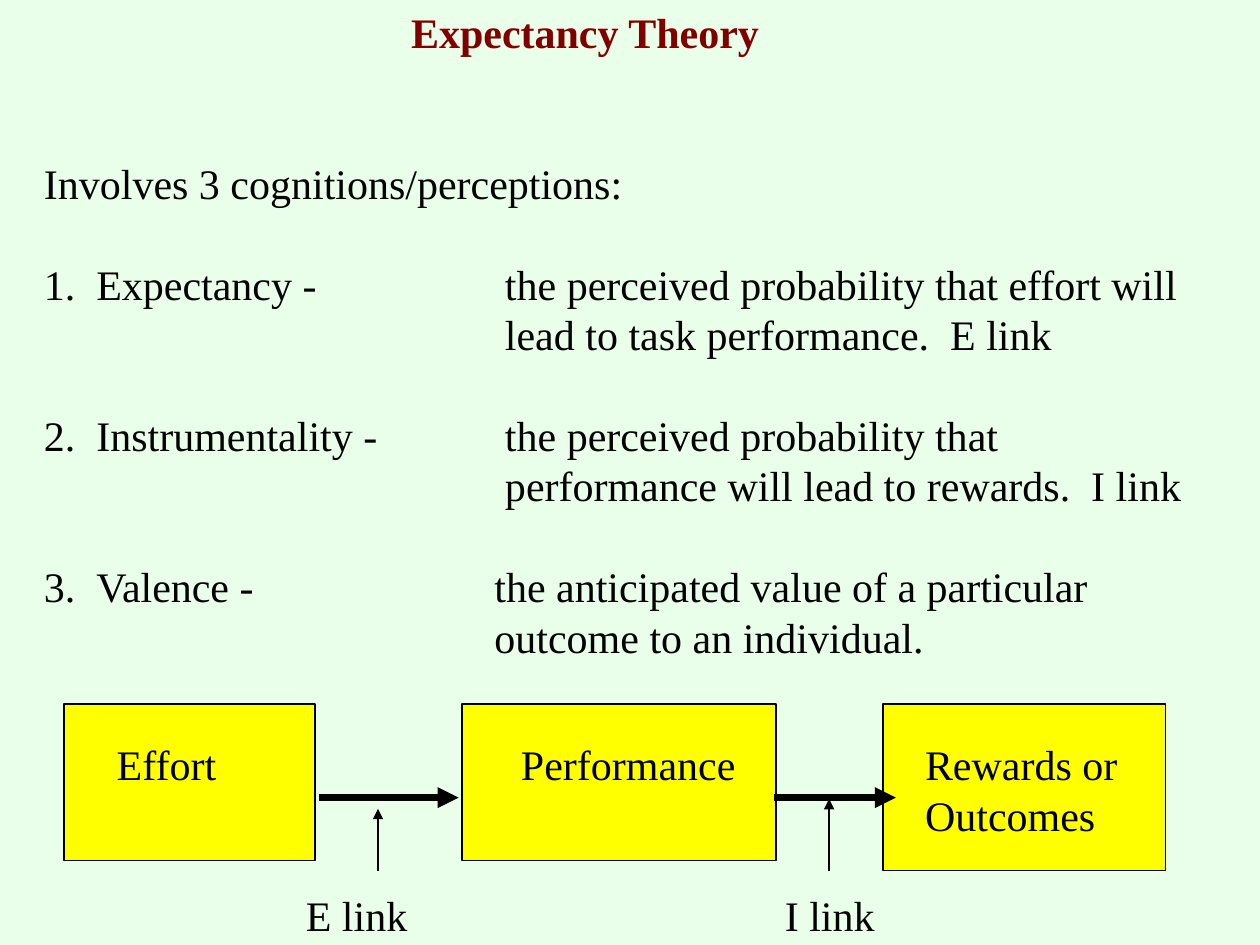
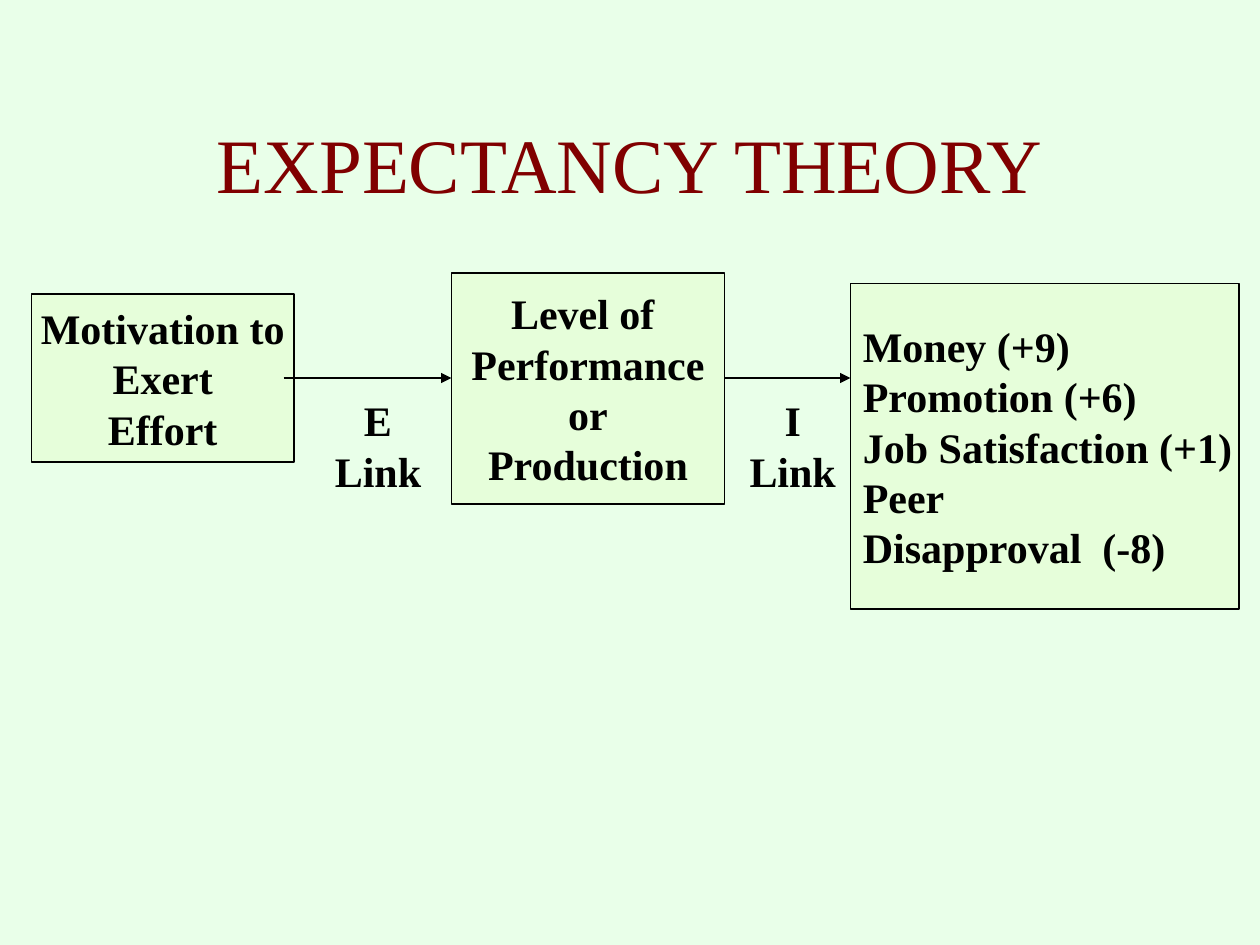
"""Build two slides that explain expectancy theory."""
from dataclasses import dataclass
from typing import Any

from lxml.etree import SubElement
from pptx import Presentation
from pptx.dml.color import RGBColor as Color
from pptx.enum.shapes import MSO_CONNECTOR as Connector, MSO_SHAPE as Preset
from pptx.enum.text import MSO_ANCHOR as Anchor, MSO_AUTO_SIZE as AutoSize, PP_ALIGN as Align
from pptx.oxml.ns import qn
from pptx.util import Pt


@dataclass(frozen=True)
class Theme:
    """Colours, type sizes and line rules of the deck."""
    font: str = "Times New Roman"
    background: Color = Color.from_string("E9FFE9")
    title: Color = Color.from_string("800000")
    ink: Color = Color.from_string("000000")
    yellow: Color = Color.from_string("FFFF00")
    pale: Color = Color.from_string("E6FEDA")
    body_size: float = 24
    large_size: float = 44
    leading: float = 1.2
    thin: float = 0.75
    medium: float = 1
    thick: float = 4
    inset_x: float = 7.2
    inset_y: float = 3.6


THEME = Theme()
BODY_LINE = THEME.body_size * THEME.leading


@dataclass(frozen=True)
class Area:
    """Position and size in points."""
    left: float
    top: float
    width: float
    height: float

    def lengths(self) -> tuple[Pt, Pt, Pt, Pt]:
        """Return the four lengths for a new shape."""
        return Pt(self.left), Pt(self.top), Pt(self.width), Pt(self.height)


@dataclass(frozen=True)
class TextStyle:
    """Look of a block of text."""
    size: float = THEME.body_size
    color: Color = THEME.ink
    bold: bool = False
    align: Align = Align.LEFT
    anchor: Anchor = Anchor.TOP
    wrap: bool = True
    inset_x: float = THEME.inset_x
    inset_y: float = THEME.inset_y


@dataclass(frozen=True)
class Box:
    """Filled rectangle with its lines of text."""
    area: Area
    lines: tuple[str, ...]
    style: TextStyle


@dataclass(frozen=True)
class Arrow:
    """Straight arrow between two points."""
    start: tuple[float, float]
    end: tuple[float, float]
    width: float


@dataclass(frozen=True)
class Label:
    """Free text naming a link."""
    area: Area
    lines: tuple[str, ...]
    style: TextStyle


@dataclass(frozen=True)
class Definition:
    """Numbered term and the two lines that define it."""
    term: str
    first_line: str
    second_line: str
    column: float


BOLD_CENTER = TextStyle(bold=True, align=Align.CENTER)
BOX_CENTER = TextStyle(bold=True, align=Align.CENTER, anchor=Anchor.MIDDLE, wrap=False)
BOX_LEFT = TextStyle(bold=True, anchor=Anchor.MIDDLE, wrap=False)
NUMBER_COLUMN = 30
DEFINITIONS = (
    Definition("Expectancy -", "the perceived probability that effort will",
               "lead to task performance.  E link", 263.5),
    Definition("Instrumentality -", "the perceived probability that",
               "performance will lead to rewards.  I link", 263.5),
    Definition("Valence -", "the anticipated value of a particular",
               "outcome to an individual.", 257.5),
)
CHAIN_BOXES = (
    Box(Area(36.7, 402.5, 143.3, 89.3), ("Effort",), TextStyle(inset_x=30, inset_y=19.6)),
    Box(Area(264.2, 402.5, 179.3, 89.3), ("Performance",), TextStyle(inset_x=33.5, inset_y=19.6)),
    Box(Area(504.7, 402.5, 161.3, 95), ("Rewards or", "Outcomes"),
        TextStyle(inset_x=23.9, inset_y=19.6)),
)
CHAIN_ARROWS = (
    Arrow((182.2, 455.8), (262.1, 455.8), THEME.thick),
    Arrow((442.1, 455.8), (511.9, 455.8), THEME.thick),
    Arrow((216, 497.5), (216, 462.2), THEME.medium),
    Arrow((473.8, 497.5), (473.8, 456.5), THEME.medium),
)
CHAIN_LABELS = (
    Label(Area(167.7, 504.8, 90, 35), ("E link",), TextStyle()),
    Label(Area(441.4, 504.8, 90, 35), ("I link",), TextStyle()),
)
MODEL_BOXES = (
    Box(Area(18, 168, 150, 96), ("Motivation to", "Exert", "Effort"), BOX_CENTER),
    Box(Area(258, 156, 156, 132), ("Level of ", "Performance", "or", "Production"), BOX_CENTER),
    Box(Area(486, 162, 222, 186), ("Money (+9)", "Promotion (+6)", "Job Satisfaction (+1)",
                                   "Peer", "Disapproval  (-8)"), BOX_LEFT),
)
MODEL_ARROWS = (
    Arrow((162, 216), (258, 216), THEME.thin),
    Arrow((414, 216), (486, 216), THEME.thin),
)
MODEL_LABELS = (
    Label(Area(174, 222, 84, 65), ("E", "Link"), BOLD_CENTER),
    Label(Area(420, 222, 66, 65), ("I", "Link"), BOLD_CENTER),
)


def prepare_frame(frame: Any, style: TextStyle) -> None:
    """Set wrapping, anchor and insets of a text frame."""
    frame.auto_size = AutoSize.NONE
    frame.word_wrap = style.wrap
    frame.vertical_anchor = style.anchor
    frame.margin_left = Pt(style.inset_x)
    frame.margin_right = Pt(THEME.inset_x)
    frame.margin_top = Pt(style.inset_y)
    frame.margin_bottom = Pt(THEME.inset_y)


def add_line(frame: Any, text: str, style: TextStyle, first: bool = False,
             space_before: float = 0) -> Any:
    """Add one formatted paragraph and return it."""
    paragraph = frame.paragraphs[0] if first else frame.add_paragraph()
    paragraph.alignment = style.align
    paragraph.line_spacing = Pt(style.size * THEME.leading)
    paragraph.space_before = Pt(space_before)
    run = paragraph.add_run()
    run.text = text
    run.font.name = THEME.font
    run.font.size = Pt(style.size)
    run.font.bold = style.bold
    run.font.color.rgb = style.color
    return paragraph


def write_lines(frame: Any, lines: tuple[str, ...], style: TextStyle) -> None:
    """Fill a text frame with lines of one style."""
    prepare_frame(frame, style)
    for index, line in enumerate(lines):
        add_line(frame, line, style, first=index == 0)


def add_titled_slide(presentation: Any, title: str, area: Area, style: TextStyle) -> Any:
    """Add a title-only slide with its title placed and formatted."""
    slide = presentation.slides.add_slide(presentation.slide_layouts.get_by_name("Title Only"))
    shape = slide.shapes.title
    shape.left, shape.top, shape.width, shape.height = area.lengths()
    write_lines(shape.text_frame, (title,), style)
    return slide


def add_box(slide: Any, box: Box, fill: Color, line_width: float) -> None:
    """Draw a rectangle and its text."""
    shape = slide.shapes.add_shape(Preset.RECTANGLE, *box.area.lengths())
    shape.shadow.inherit = False
    shape.fill.solid()
    shape.fill.fore_color.rgb = fill
    shape.line.color.rgb = THEME.ink
    shape.line.width = Pt(line_width)
    write_lines(shape.text_frame, box.lines, box.style)


def add_arrow(slide: Any, arrow: Arrow) -> None:
    """Draw a straight connector with a triangle at its end."""
    points = [Pt(value) for value in (*arrow.start, *arrow.end)]
    connector = slide.shapes.add_connector(Connector.STRAIGHT, *points)
    connector.line.color.rgb = THEME.ink
    connector.line.width = Pt(arrow.width)
    SubElement(connector.line._get_or_add_ln(), qn("a:tailEnd"), type="triangle")
    SubElement(connector._element.spPr, qn("a:effectLst"))


def add_label(slide: Any, label: Label) -> None:
    """Write a free label."""
    text_box = slide.shapes.add_textbox(*label.area.lengths())
    write_lines(text_box.text_frame, label.lines, label.style)


def add_diagram(slide: Any, boxes: tuple[Box, ...], arrows: tuple[Arrow, ...],
                labels: tuple[Label, ...], fill: Color, line_width: float) -> None:
    """Draw boxes, then arrows, then labels."""
    for box in boxes:
        add_box(slide, box, fill, line_width)
    for arrow in arrows:
        add_arrow(slide, arrow)
    for label in labels:
        add_label(slide, label)


def add_definitions(slide: Any, area: Area) -> None:
    """Write the introduction and the numbered definitions in columns."""
    style = TextStyle()
    frame = slide.shapes.add_textbox(*area.lengths()).text_frame
    prepare_frame(frame, style)
    add_line(frame, "Involves 3 cognitions/perceptions:", style, first=True)
    for number, definition in enumerate(DEFINITIONS, start=1):
        text = f"{number}.\t{definition.term}\t{definition.first_line}"
        paragraph = add_line(frame, text, style, space_before=BODY_LINE)
        tabs = SubElement(paragraph._p.get_or_add_pPr(), qn("a:tabLst"))
        for stop in (NUMBER_COLUMN, definition.column):
            SubElement(tabs, qn("a:tab"), pos=str(Pt(stop)), algn="l")
        paragraph = add_line(frame, definition.second_line, style)
        paragraph._p.get_or_add_pPr().set("marL", str(Pt(definition.column)))


def main() -> None:
    """Build and save the presentation."""
    presentation = Presentation()
    presentation.slide_width, presentation.slide_height = Pt(720), Pt(540)
    background = presentation.slide_master.background.fill
    background.solid()
    background.fore_color.rgb = THEME.background

    slide = add_titled_slide(presentation, "Expectancy Theory", Area(227.7, 0, 240, 36),
                             TextStyle(color=THEME.title, bold=True))
    add_definitions(slide, Area(18, 3 * BODY_LINE, 678, 300))
    add_diagram(slide, CHAIN_BOXES, CHAIN_ARROWS, CHAIN_LABELS, THEME.yellow, THEME.medium)

    slide = add_titled_slide(presentation, "EXPECTANCY THEORY", Area(54, 48, 612, 90),
                             TextStyle(size=THEME.large_size, color=THEME.title,
                                       align=Align.CENTER, anchor=Anchor.MIDDLE))
    add_diagram(slide, MODEL_BOXES, MODEL_ARROWS, MODEL_LABELS, THEME.pale, THEME.thin)
    presentation.save("out.pptx")


if __name__ == "__main__":
    main()
